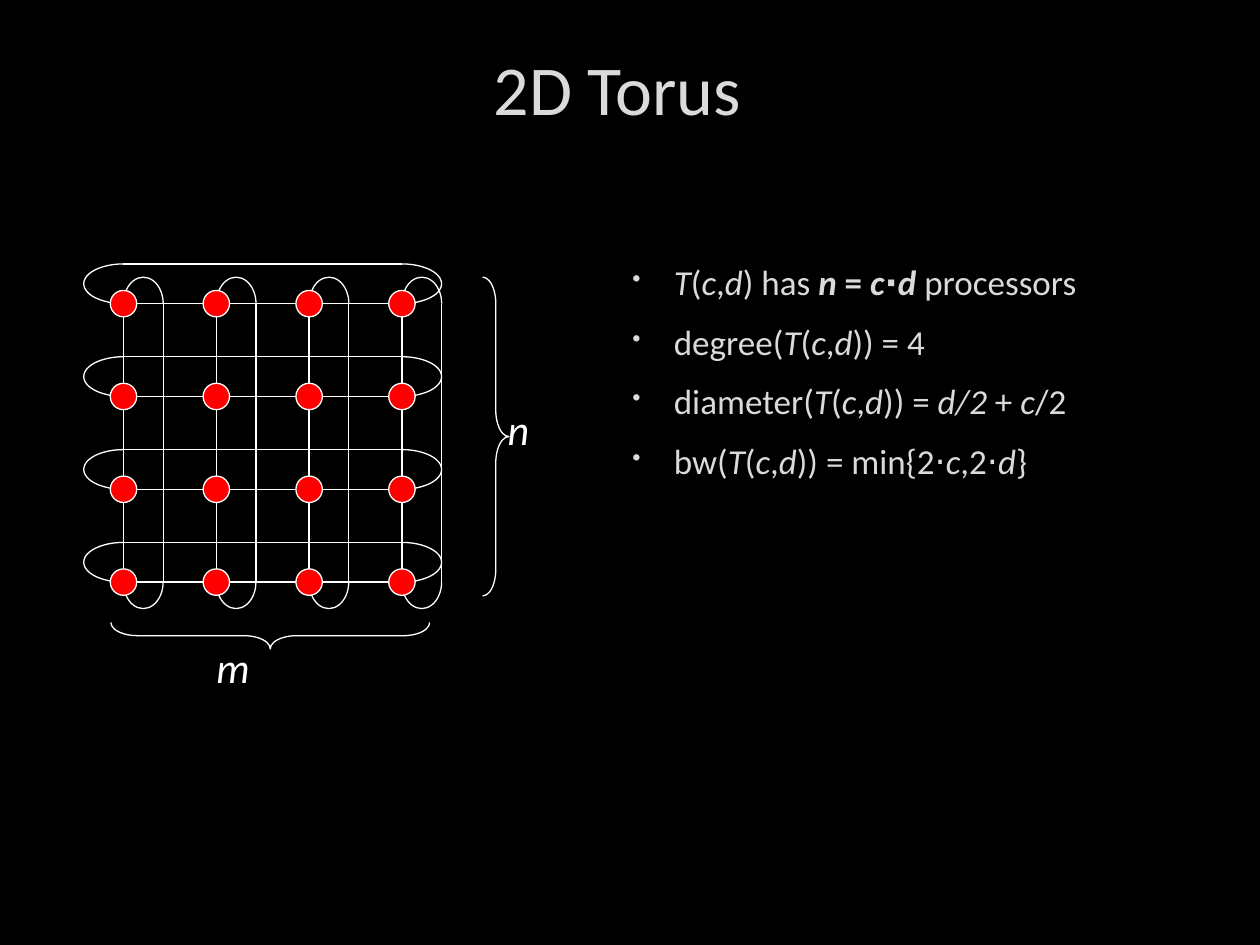
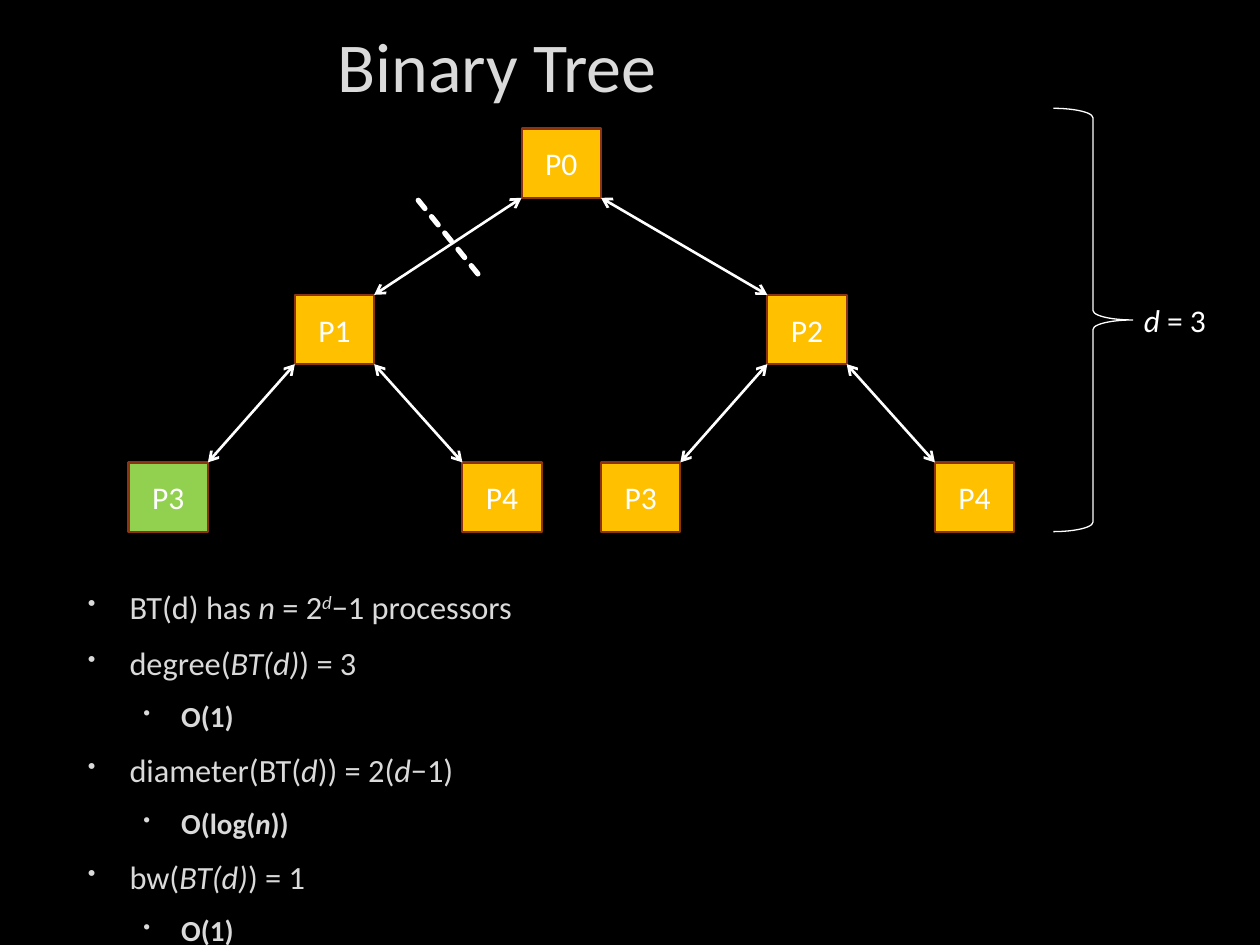
from dataclasses import dataclass
from lxml.etree import SubElement
from pptx import Presentation
from pptx.dml.color import RGBColor
from pptx.enum.dml import MSO_LINE
from pptx.enum.shapes import MSO_CONNECTOR, MSO_SHAPE
from pptx.enum.text import MSO_ANCHOR, PP_ALIGN
from pptx.oxml.ns import qn
from pptx.util import Inches, Pt


@dataclass(frozen=True)
class Theme:
    font: str = "Calibri"
    back: str = "000000"
    text: str = "DADADA"
    white: str = "FFFFFF"
    red: str = "FF0000"
    gold: str = "FFC000"
    green: str = "92D050"
    rust: str = "8B3314"
    title: float = 40
    label: float = 24
    node: float = 18
    thin: float = 0.75
    edge: float = 1.25
    link: float = 1.5
    cut: float = 3


def rgb(code):
    return RGBColor.from_string(code)


class Deck:
    def __init__(self, theme):
        self.theme = theme
        self.prs = Presentation()
        self.prs.slide_width, self.prs.slide_height = Inches(10), Inches(7.5)
        fill = self.prs.slide_master.background.fill
        fill.solid()
        fill.fore_color.rgb = rgb(theme.back)
        self.slide = None

    def style(self, run, size, color):
        run.font.name = self.theme.font
        run.font.size = Pt(size)
        run.font.color.rgb = rgb(color)

    def rich(self, par, text, size, color):
        """Write runs: *bold*, _italic_, and ^ for a raised run."""
        for bold, part in enumerate(text.split("*")):
            for slant, bit in enumerate(part.split("_")):
                if not bit:
                    continue
                run = par.add_run()
                run.text = bit.lstrip("^")
                self.style(run, size, color)
                run.font.bold = bold % 2 == 1
                run.font.italic = slant % 2 == 1
                if bit.startswith("^"):
                    run.font._element.set("baseline", "30000")

    def new(self, title, wide, high):
        self.slide = self.prs.slides.add_slide(self.prs.slide_layouts[5])
        head = self.slide.shapes.title
        head.left, head.top = Inches(0.39), Inches(0)
        head.width, head.height = Inches(wide), Inches(high)
        frame = head.text_frame
        frame.text = title
        frame.vertical_anchor = MSO_ANCHOR.MIDDLE
        par = frame.paragraphs[0]
        par.alignment = PP_ALIGN.CENTER
        self.style(par.runs[0], self.theme.title, self.theme.text)

    def box(self, x, y, w, h):
        area = self.slide.shapes.add_textbox(Inches(x), Inches(y), Inches(w), Inches(h))
        area.text_frame.word_wrap = True
        return area.text_frame

    def label(self, x, y, w, h, text, size):
        self.rich(self.box(x, y, w, h).paragraphs[0], text, size, self.theme.white)

    def bullets(self, x, y, w, h, items, sizes):
        """Items are (level, text); sizes holds one size per level."""
        frame = self.box(x, y, w, h)
        for k, (level, text) in enumerate(items):
            par = frame.add_paragraph() if k else frame.paragraphs[0]
            size = sizes[level]
            par.level = level
            par.space_before, par.space_after = Pt(size * 0.2), Pt(6)
            left, hang = ((0.38, 0.33), (0.79, 0.3))[level]
            props = par._p.get_or_add_pPr()
            props.set("marL", str(Inches(left)))
            props.set("indent", str(-Inches(hang)))
            tint = SubElement(props, qn("a:buClr"))
            SubElement(tint, qn("a:srgbClr"), val=self.theme.text)
            SubElement(props, qn("a:buSzPct"), val="70000")
            SubElement(props, qn("a:buChar"), char="•")
            self.rich(par, text, size, self.theme.text)

    def shape(self, kind, x, y, w, h, fill=None, line=None, width=None, adj=(), turn=0):
        """Draw a shape that fills the given box after its turn."""
        if turn:
            x, y, w, h = x + (w - h) / 2, y + (h - w) / 2, h, w
        item = self.slide.shapes.add_shape(kind, Inches(x), Inches(y), Inches(w), Inches(h))
        item.shadow.inherit = False
        item.rotation = turn
        for k, value in enumerate(adj):
            item.adjustments[k] = value
        if fill:
            item.fill.solid()
            item.fill.fore_color.rgb = rgb(fill)
        else:
            item.fill.background()
        item.line.color.rgb = rgb(line or self.theme.white)
        item.line.width = Pt(width or self.theme.thin)
        return item

    def node(self, x, y, w, h, text, fill):
        item = self.shape(MSO_SHAPE.RECTANGLE, x, y, w, h, fill, self.theme.rust, self.theme.edge)
        frame = item.text_frame
        frame.text = text
        frame.vertical_anchor = MSO_ANCHOR.MIDDLE
        par = frame.paragraphs[0]
        par.alignment = PP_ALIGN.CENTER
        self.style(par.runs[0], self.theme.node, self.theme.white)

    def line(self, x1, y1, x2, y2, width=None, arrows=False, dash=False):
        item = self.slide.shapes.add_connector(
            MSO_CONNECTOR.STRAIGHT, Inches(x1), Inches(y1), Inches(x2), Inches(y2))
        item.line.color.rgb = rgb(self.theme.white)
        item.line.width = Pt(width or self.theme.thin)
        stroke = item.line._get_or_add_ln()
        if dash:
            item.line.dash_style = MSO_LINE.SQUARE_DOT
            stroke.set("cap", "rnd")
        if arrows:
            for end in ("a:headEnd", "a:tailEnd"):
                SubElement(stroke, qn(end), type="arrow")
        SubElement(item._element.spPr, qn("a:effectLst"))


def torus(deck):
    deck.new("2D Torus", 9.02, 1.39)
    deck.bullets(4.87, 2.02, 4.93, 3.78, [
        (0, "_T_(_c_,_d_) has *_n_ = _c_⋅_d_* processors"),
        (0, "degree(_T_(_c_,_d_)) = 4"),
        (0, "diameter(_T_(_c_,_d_)) = _d/2_ + _c_/2"),
        (0, "bw(_T_(_c_,_d_)) = min{2⋅_c_,2⋅_d_}"),
    ], (20,))

    # Grid links with their wrap-around loops
    step, loop, cap, dot = 2.21 / 3, 0.315, 0.21, 0.21
    cols = [0.98 + step * k for k in range(4)]
    rows = [2.41 + step * k for k in range(4)]
    left, right, top, base = cols[0], cols[-1], rows[0], rows[-1]
    for y in rows:
        deck.line(left, y, right, y)
        deck.line(left, y - loop, right, y - loop)
        deck.shape(MSO_SHAPE.LEFT_BRACKET, left - loop, y - loop, loop, loop, adj=(0.5,))
        deck.shape(MSO_SHAPE.RIGHT_BRACKET, right, y - loop, loop, loop, adj=(0.5,))
    for x in cols:
        deck.line(x, top, x, base)
        deck.line(x + loop, top, x + loop, base)
        for y, turn in ((top - cap, 90), (base, 270)):
            deck.shape(MSO_SHAPE.LEFT_BRACKET, x, y, loop, cap, adj=(0.75,), turn=turn)

    # Processors
    for x in cols:
        for y in rows:
            deck.shape(MSO_SHAPE.OVAL, x - dot / 2, y - dot / 2, dot, dot, deck.theme.red)

    # Size braces
    deck.shape(MSO_SHAPE.RIGHT_BRACE, 3.83, 2.2, 0.21, 2.53, adj=(1, 0.5))
    deck.label(3.93, 3.15, 0.83, 0.63, "_n_", deck.theme.label)
    deck.shape(MSO_SHAPE.RIGHT_BRACE, 0.88, 4.94, 2.53, 0.21, adj=(1, 0.5), turn=90)
    deck.label(1.62, 5.04, 0.83, 0.63, "_m_", deck.theme.label)


def tree(deck):
    theme = deck.theme
    deck.new("Binary Tree", 7.11, 1.02)
    deck.bullets(0.55, 4.61, 8.13, 2.89, [
        (0, "BT(d) has _n_ = 2_^d_−1 processors"),
        (0, "degree(_BT(d)_) = 3"),
        (1, "*O(1)*"),
        (0, "diameter(BT(_d_)) = 2(_d_−1)"),
        (1, "*O(log(_n_))*"),
        (0, "bw(_BT(d)_) = 1"),
        (1, "*O(1)*"),
    ], (18.5, 16.6))

    # Nodes in level order: the children of k are 2k+1 and 2k+2
    wide, high = 0.63, 0.55
    spots = [(4.14, 1.02), (2.34, 2.34), (6.09, 2.34)]
    spots += [(x, 3.67) for x in (1.02, 3.67, 4.77, 7.42)]
    names = ("P0", "P1", "P2", "P3", "P4", "P3", "P4")
    for k, ((x, y), name) in enumerate(zip(spots, names)):
        deck.node(x, y, wide, high, name, theme.green if k == 3 else theme.gold)

    # Links from a parent's lower corner to a child's upper corner
    for k in range(1, len(spots)):
        (px, py), (cx, cy) = spots[(k - 1) // 2], spots[k]
        start, end = (px, cx + wide) if k % 2 else (px + wide, cx)
        deck.line(start, py + high, end, cy, theme.link, arrows=True)

    # Depth brace and bisection cut
    deck.shape(MSO_SHAPE.RIGHT_BRACE, 8.36, 0.86, 0.63, 3.36, adj=(0.12, 0.5))
    deck.label(8.98, 2.34, 0.78, 0.4, "_d_ = 3", theme.node)
    deck.line(3.32, 1.59, 3.83, 2.22, theme.cut, dash=True)


def main():
    deck = Deck(Theme())
    torus(deck)
    tree(deck)
    deck.prs.save("out.pptx")


if __name__ == "__main__":
    main()
